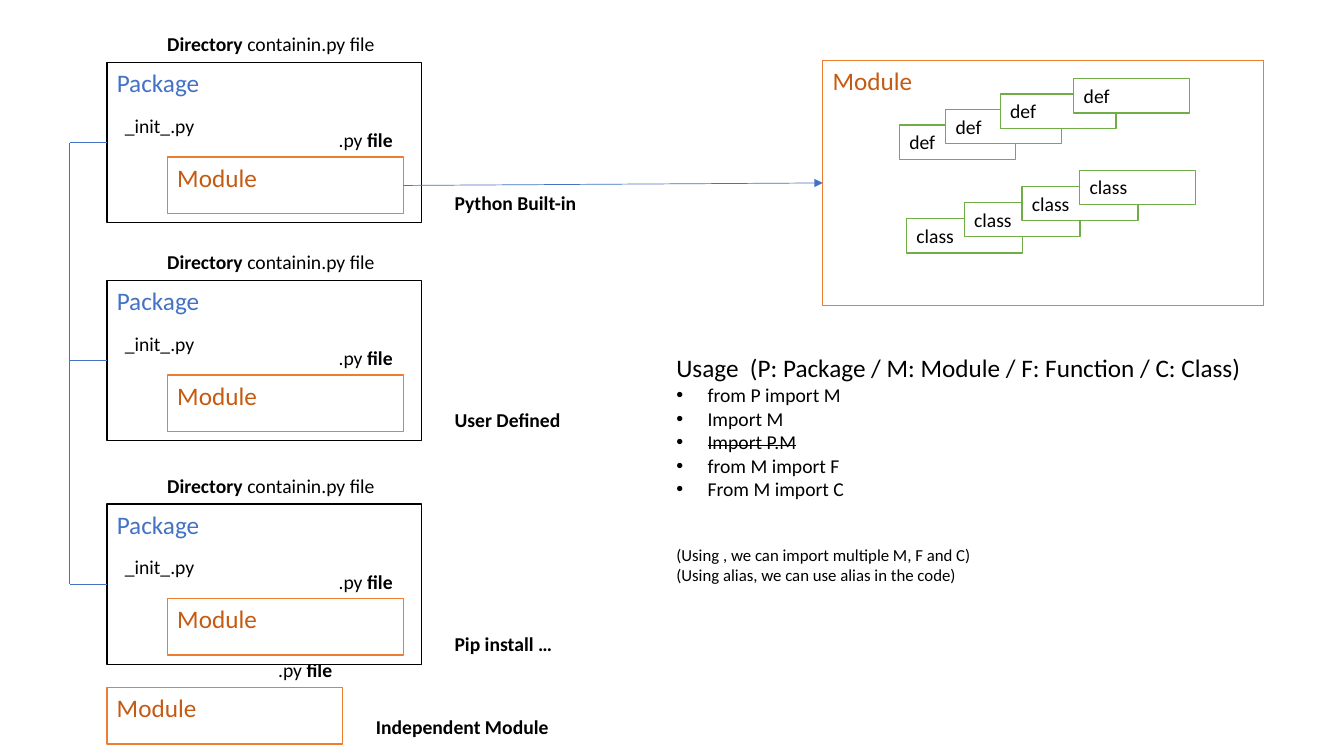
from lxml import etree
from pptx import Presentation
from pptx.dml.color import RGBColor
from pptx.enum.shapes import MSO_CONNECTOR, MSO_SHAPE
from pptx.enum.text import MSO_ANCHOR, PP_ALIGN
from pptx.oxml.ns import qn
from pptx.util import Inches, Pt

RECT = MSO_SHAPE.RECTANGLE
STRAIGHT = MSO_CONNECTOR.STRAIGHT
TOP = MSO_ANCHOR.TOP
LEFT = PP_ALIGN.LEFT

BLACK = RGBColor(0x00, 0x00, 0x00)
WHITE = RGBColor(0xFF, 0xFF, 0xFF)
BLUE = RGBColor(0x44, 0x72, 0xC4)
ORANGE = RGBColor(0xED, 0x7D, 0x31)
RUST = RGBColor(0xC5, 0x5A, 0x11)
GREEN = RGBColor(0x70, 0xAD, 0x47)

CELL = Inches(0.1)  # one column or row of the grid
ROW = 3.4           # height of one line of text, in rows
SPINE = 6.9         # column of the line that joins the packages


def cells(*counts):
    return [round(n * CELL) for n in counts]


def style(para, size, color=BLACK, bold=None):
    para.alignment = LEFT
    font = para.font
    font.name, font.size, font.bold = "Calibri", Pt(size), bold
    font.color.rgb = color


def box(slide, at, text, line, size=18, color=BLACK):
    shape = slide.shapes.add_shape(RECT, *cells(*at))
    shape.shadow.inherit = False
    shape.fill.solid()
    shape.fill.fore_color.rgb = WHITE
    shape.line.color.rgb = line
    shape.line.width = Pt(1)
    frame = shape.text_frame
    frame.vertical_anchor = TOP
    frame.text = text
    style(frame.paragraphs[0], size, color)
    return shape


def label(slide, at, plain="", bold="", lead=False, wrap=True):
    """Text line with a plain and a bold part; lead puts the bold part first."""
    frame = slide.shapes.add_textbox(*cells(*at)).text_frame
    frame.word_wrap = wrap
    para = frame.paragraphs[0]
    parts = [(plain, False), (bold, True)]
    for text, heavy in reversed(parts) if lead else parts:
        if text:
            run = para.add_run()
            run.text = text
            run.font.bold = heavy
    style(para, 14)


def link(slide, start, end, arrow=False):
    line = slide.shapes.add_connector(STRAIGHT, *cells(*start, *end))
    line.line.color.rgb = BLUE
    line.line.width = Pt(0.5)
    if arrow:
        tail = etree.SubElement(line.line._get_or_add_ln(), qn("a:tailEnd"))
        tail.set("type", "triangle")
    etree.SubElement(line._element.spPr, qn("a:effectLst"))
    return line


def module(slide, x, y, kind):
    """Module box with its file tag above and its kind on the right."""
    w, h = 23.4, 5.6
    shape = box(slide, (x, y, w, h), "Module", ORANGE, color=RUST)
    label(slide, (x + 16, y - ROW, 7.4, ROW), ".py ", "file", wrap=False)
    label(slide, (x + w + 2.3 if kind.startswith("Ind") else x + 27.5,
                  y + h - ROW + (0 if kind.startswith("Ind") else 0.6),
                  33 if kind.startswith("Ind") else 17.4, ROW), bold=kind)
    return shape


def package(slide, x, y, kind):
    w, h = 31.2, 15.9
    shape = box(slide, (x, y, w, h), "Package", BLACK, color=BLUE)
    label(slide, (x + 5, y - 3.5, 24.4, ROW), " containin.py file",
          "Directory", lead=True)
    label(slide, (x + 0.8, y + 4.6, 9, ROW), "_init_.py", wrap=False)
    mid = y + h / 2
    link(slide, (x, mid), (SPINE, mid)).begin_connect(shape, 1)
    return module(slide, x + 6, y + 9.4, kind), mid


def stair(slide, x, y, text, steps, rise):
    """Overlapping boxes that climb to the right."""
    for i, step in enumerate(steps):
        box(slide, (x + step, y - i * rise, 11.5, ROW), text, GREEN, 14)


def detail(slide, x, y):
    shape = box(slide, (x, y, 43.7, 24.3), "Module", ORANGE, color=RUST)
    stair(slide, x + 7.6, y + 6.4, "def", (0, 4.6, 10, 17.3), 1.53)
    stair(slide, x + 8.3, y + 15.7, "class",
          [5.73 * i for i in range(4)], 1.6)
    return shape


def usage(slide, x, y, w, h):
    frame = slide.shapes.add_textbox(*cells(x, y, w, h)).text_frame
    frame.word_wrap = True
    head = frame.paragraphs[0]
    head.text = "Usage  (P: Package / M: Module / F: Function / C: Class)"
    style(head, 18)
    for text in ("from P import M", "Import M", "Import P.M",
                 "from M import F", "From M import C"):
        para = frame.add_paragraph()
        run = para.add_run()
        run.text = text
        style(para, 14)
        if text == "Import P.M":
            run._r.get_or_add_rPr().set("strike", "sngStrike")
        props = para._p.get_or_add_pPr()
        indent = Inches(0.31)
        props.set("marL", str(indent))
        props.set("indent", str(-indent))
        bullet = etree.Element(qn("a:buChar"), char="•")
        props.insert(0, bullet)
        face = etree.Element(qn("a:buFont"), typeface="Arial")
        props.insert(0, face)
    for text, gap in (("(Using , we can import multiple M, F and C)", 31.5),
                      ("(Using alias, we can use alias in the code)", 0)):
        para = frame.add_paragraph()
        para.text = text
        para.space_before = Pt(gap)
        style(para, 12)


def main():
    deck = Presentation()
    deck.slide_width, deck.slide_height = Inches(13.33), Inches(7.5)
    slide = deck.slides.add_slide(deck.slide_layouts[6])
    left = 10.6
    module(slide, left, 68.2, "Independent Module")
    packs = [package(slide, left, y, kind) for y, kind in (
        (6.2, "Python Built-in"), (27.8, "User Defined"),
        (50, "Pip install …"))]
    link(slide, (SPINE, packs[0][1]), (SPINE, packs[-1][1]))
    big = detail(slide, 81.6, 6)
    arrow = link(slide, (40, 18.4), (81.6, 18.1), arrow=True)
    arrow.begin_connect(packs[0][0], 3)
    arrow.end_connect(big, 1)
    usage(slide, 66.1, 34.5, 63.6, 37.2)
    deck.save("out.pptx")


if __name__ == "__main__":
    main()
